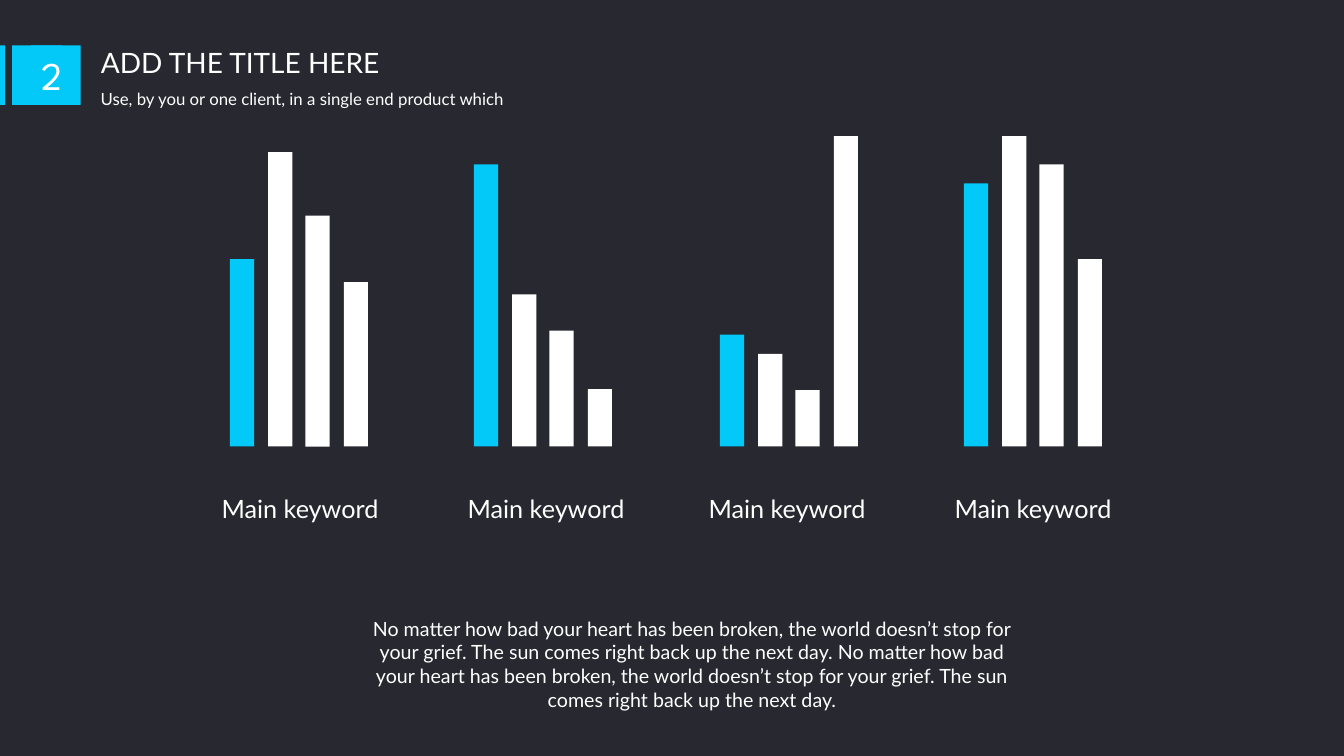
from dataclasses import dataclass

from pptx import Presentation
from pptx.dml.color import RGBColor
from pptx.enum.shapes import MSO_SHAPE
from pptx.enum.text import MSO_ANCHOR, MSO_AUTO_SIZE, PP_ALIGN
from pptx.util import Pt

EMU_PER_PX = 9144
COLOURS = {"background": "282830", "accent": "02C9F8", "light": "FFFFFF"}
BASELINE = 443
BAR_WIDTH = 24
BAR_PITCH = 37.7
KEYWORD_TOP = 484


@dataclass(frozen=True)
class Area:
    left: int
    top: int
    width: int
    height: int

    def emu(self) -> tuple[int, int, int, int]:
        return (px(self.left), px(self.top), px(self.width), px(self.height))


@dataclass(frozen=True)
class BarGroup:
    left: int
    heights: tuple[int, ...]
    keyword_left: int
    keyword: str = "Main keyword"


@dataclass(frozen=True)
class Caption:
    area: Area
    text: str
    size: int
    align: PP_ALIGN = PP_ALIGN.LEFT


BAR_GROUPS = (
    BarGroup(228, (186, 292, 229, 163), 210),
    BarGroup(470, (280, 151, 115, 57), 454),
    BarGroup(714, (111, 92, 56, 308), 693),
    BarGroup(956, (261, 308, 280, 186), 937),
)
TITLE = Caption(Area(90, 40, 396, 44), "ADD THE TITLE HERE", 20)
CAPTIONS = (
    Caption(
        Area(353, 607, 667, 128),
        "No matter how bad your heart has been broken, the world doesn’t stop for "
        "your grief. The sun comes right back up the next day. No matter how bad "
        "your heart has been broken, the world doesn’t stop for your grief. The sun "
        "comes right back up the next day.",
        14,
        PP_ALIGN.CENTER,
    ),
    Caption(
        Area(90, 83, 667, 30),
        "Use, by you or one client, in a single end product which",
        12,
    ),
)
BADGE_PARTS = (Area(0, 45, 5, 59), Area(12, 45, 68, 59))
BADGE_NUMBER = Caption(Area(31, 45, 30, 59), "2", 28, PP_ALIGN.CENTER)


def px(length: int) -> int:
    return length * EMU_PER_PX


def colour(name: str) -> RGBColor:
    return RGBColor.from_string(COLOURS[name])


def draw_block(shapes, area: Area, fill: str):
    block = shapes.add_shape(MSO_SHAPE.RECTANGLE, *area.emu())
    block.shadow.inherit = False
    block.fill.solid()
    block.fill.fore_color.rgb = colour(fill)
    block.line.fill.background()
    return block


def write_text(box, caption: Caption, font: str = "Lato",
               anchor: MSO_ANCHOR = MSO_ANCHOR.TOP) -> None:
    frame = box.text_frame
    frame.text = caption.text
    frame.word_wrap = True
    frame.auto_size = MSO_AUTO_SIZE.SHAPE_TO_FIT_TEXT
    frame.vertical_anchor = anchor
    para = frame.paragraphs[0]
    para.alignment = caption.align
    for span in para.runs:
        span.font.name = font
        span.font.size = Pt(caption.size)
        span.font.color.rgb = colour("light")


def draw_caption(page, caption: Caption) -> None:
    write_text(page.shapes.add_textbox(*caption.area.emu()), caption)


def draw_bar_group(page, group: BarGroup) -> None:
    bars = page.shapes.add_group_shape()
    for index, height in enumerate(group.heights):
        left = group.left + round(index * BAR_PITCH)
        area = Area(left, BASELINE - height, BAR_WIDTH, height)
        draw_block(bars.shapes, area, "light" if index else "accent")
    keyword_area = Area(group.keyword_left, KEYWORD_TOP, 183, 40)
    draw_caption(page, Caption(keyword_area, group.keyword, 18))


def draw_title(page) -> None:
    title = page.shapes.title
    title.left, title.top, title.width, title.height = TITLE.area.emu()
    write_text(title, TITLE)


def draw_badge(page) -> None:
    for part in BADGE_PARTS:
        draw_block(page.shapes, part, "accent")
    number = draw_block(page.shapes, BADGE_NUMBER.area, "accent")
    write_text(number, BADGE_NUMBER, "League Spartan", MSO_ANCHOR.MIDDLE)


def main() -> None:
    deck = Presentation()
    deck.slide_width, deck.slide_height = px(1333), px(750)
    page = deck.slides.add_slide(deck.slide_layouts.get_by_name("Title Only"))
    page.background.fill.solid()
    page.background.fill.fore_color.rgb = colour("background")
    draw_title(page)
    for group in BAR_GROUPS:
        draw_bar_group(page, group)
    for caption in CAPTIONS:
        draw_caption(page, caption)
    draw_badge(page)
    deck.save("out.pptx")


if __name__ == "__main__":
    main()
